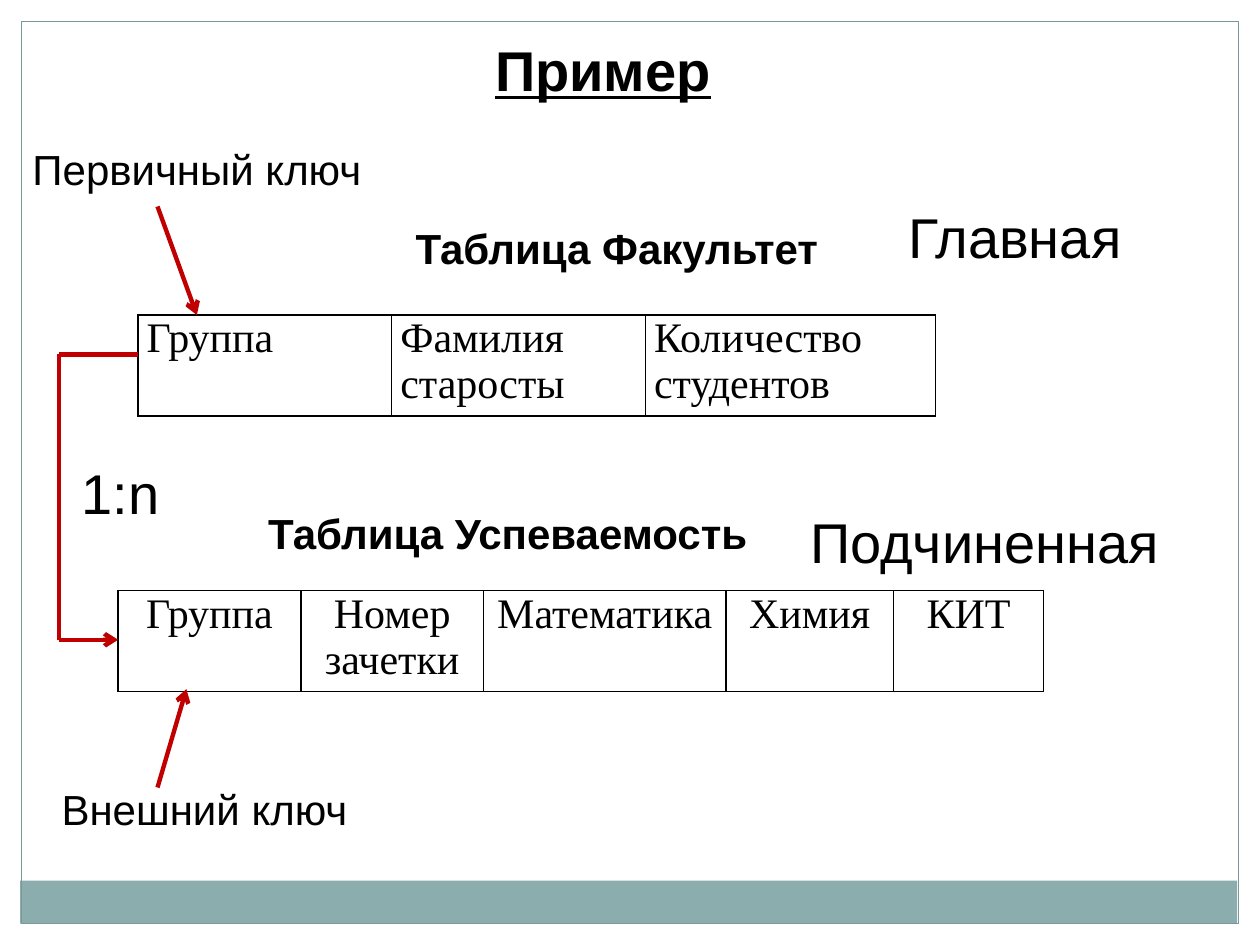
from lxml import etree
from pptx import Presentation
from pptx.dml.color import RGBColor
from pptx.enum.shapes import MSO_CONNECTOR, MSO_SHAPE
from pptx.enum.text import MSO_AUTO_SIZE, PP_ALIGN
from pptx.oxml.ns import qn
from pptx.util import Pt

STRAIGHT = MSO_CONNECTOR.STRAIGHT
RECTANGLE = MSO_SHAPE.RECTANGLE
FIT_SHAPE = MSO_AUTO_SIZE.SHAPE_TO_FIT_TEXT
JUSTIFY, CENTER = PP_ALIGN.JUSTIFY, PP_ALIGN.CENTER

BLACK = RGBColor(0x00, 0x00, 0x00)
RED = RGBColor(0xC0, 0x00, 0x00)
TEAL = RGBColor(0x8C, 0xAD, 0xAE)
FRAME_GREY = RGBColor(0x7C, 0x99, 0x9A)

# Content: text, left, top, width, height, size, bold, underline
LABELS = [
    ("Пример", 275.8, 16.6, 139, 46, 32, True, True),
    ("Таблица Факультет", 230.4, 123.8, 247, 36, 24, True, False),
    ("Таблица Успеваемость", 146.2, 286.6, 291, 36, 24, True, False),
    ("Первичный ключ", 11.5, 78.5, 204.5, 36, 24, False, False),
    ("Внешний ключ", 28.1, 444.2, 179.3, 36, 24, False, False),
    ("1:n", 39.6, 258.5, 59, 46, 32, False, False),
    ("Главная", 511.9, 112.3, 137.5, 46, 32, False, False),
    ("Подчиненная", 455.8, 286.6, 215.3, 46, 32, False, False),
]

# Left, top, alignment, columns as (heading, width)
TABLES = [
    (78.8, 180, JUSTIFY, [("Группа", 145), ("Фамилия старосты", 145),
                          ("Количество студентов", 165.8)]),
    (67.5, 337.5, CENTER, [("Группа", 104.4), ("Номер зачетки", 104.4),
                           ("Математика", 138.5), ("Химия", 95.8), ("КИТ", 85.8)]),
]
ROW_HEIGHT = 57.6

# Paths drawn as straight segments; the last one carries the arrowhead
PATHS = [
    [(90, 118), (112.5, 180)],
    [(90, 450), (106.5, 393.8)],
    [(78.8, 202.5), (33.8, 202.5), (33.8, 365.6), (67.5, 365.6)],
]


def add_run(para, text, font, size, bold=False, underline=False):
    span = para.add_run()
    span.text = text
    span.font.name = font
    span.font.size = Pt(size)
    span.font.bold = bold
    span.font.underline = underline
    span.font.color.rgb = BLACK


def add_rectangle(page, left, top, width, height, fill=None, line=None):
    box = page.shapes.add_shape(RECTANGLE, Pt(left), Pt(top), Pt(width), Pt(height))
    box.shadow.inherit = False
    if fill is None:
        box.fill.background()
    else:
        box.fill.solid()
        box.fill.fore_color.rgb = fill
    if line is None:
        box.line.fill.background()
    else:
        box.line.color.rgb = line
        box.line.width = Pt(0.75)


def add_label(page, text, left, top, width, height, size, bold, underline):
    box = page.shapes.add_textbox(Pt(left), Pt(top), Pt(width), Pt(height))
    box.text_frame.word_wrap = False
    box.text_frame.auto_size = FIT_SHAPE
    add_run(box.text_frame.paragraphs[0], text, "Arial", size, bold, underline)


def add_borders(cell):
    properties = cell._tc.get_or_add_tcPr()
    for index, side in enumerate(("a:lnL", "a:lnR", "a:lnT", "a:lnB")):
        border = etree.Element(qn(side), w=str(Pt(1)))
        fill = etree.SubElement(border, qn("a:solidFill"))
        etree.SubElement(fill, qn("a:srgbClr"), val=str(BLACK))
        properties.insert(index, border)


def add_header_table(page, left, top, alignment, columns):
    total = sum(width for _, width in columns)
    table = page.shapes.add_table(1, len(columns), Pt(left), Pt(top),
                                  Pt(total), Pt(ROW_HEIGHT)).table
    table.first_row = table.horz_banding = False
    for index, (heading, width) in enumerate(columns):
        table.columns[index].width = Pt(width)
        cell = table.cell(0, index)
        cell.margin_left = cell.margin_right = Pt(5)
        cell.margin_top = cell.margin_bottom = Pt(0)
        cell.fill.background()
        add_borders(cell)
        para = cell.text_frame.paragraphs[0]
        para.alignment = alignment
        add_run(para, heading, "Times New Roman", 24)


def add_path(page, points):
    for start, end in zip(points, points[1:]):
        line = page.shapes.add_connector(STRAIGHT, *map(Pt, start + end))
        line.line.color.rgb = RED
        line.line.width = Pt(2.5)
        if end == points[-1]:
            etree.SubElement(line.line._get_or_add_ln(), qn("a:tailEnd"), type="arrow")
        etree.SubElement(line._element.spPr, qn("a:effectLst"))


def main():
    deck = Presentation()
    deck.slide_width, deck.slide_height = Pt(720), Pt(540)
    page = deck.slides.add_slide(deck.slide_layouts[6])

    # Bottom band and page frame
    add_rectangle(page, 11.5, 503.3, 695.5, 24.5, fill=TEAL)
    add_rectangle(page, 12.2, 12.2, 695.5, 515.5, line=FRAME_GREY)

    # Tables, labels and key links
    for table in TABLES:
        add_header_table(page, *table)
    for label in LABELS:
        add_label(page, *label)
    for points in PATHS:
        add_path(page, points)

    deck.save("out.pptx")


if __name__ == "__main__":
    main()
